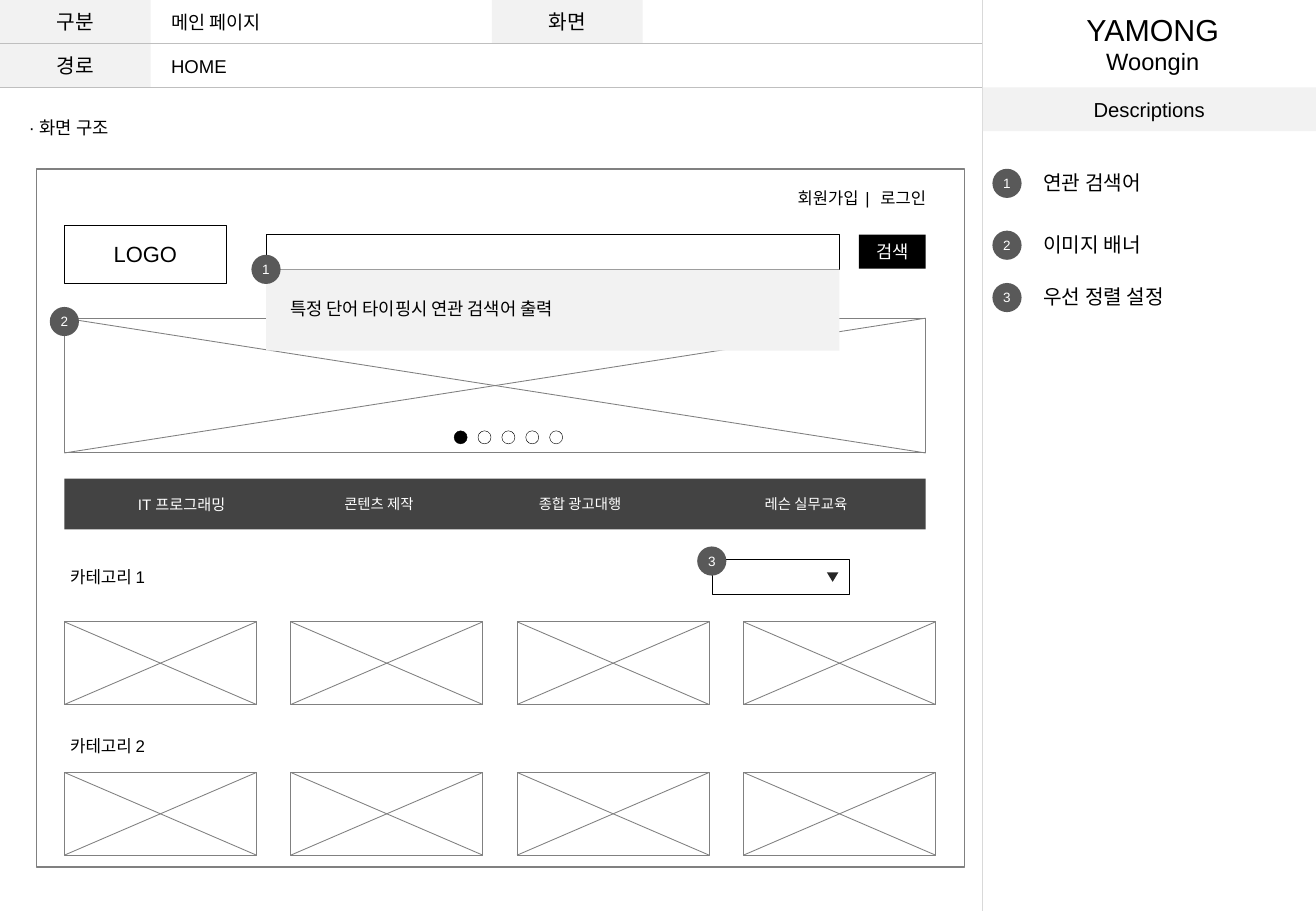
import pptx
import pptx.dml.color
import pptx.enum.shapes
import pptx.enum.text
import pptx.oxml.ns
import pptx.util
from lxml import etree

Pt = pptx.util.Pt
SHAPE = pptx.enum.shapes.MSO_SHAPE
ALIGN = pptx.enum.text.PP_ALIGN
ANCHOR = pptx.enum.text.MSO_ANCHOR

COLORS = {
    "black": "000000", "white": "FFFFFF", "pale": "F2F2F2", "divider": "D9D9D9",
    "rule": "BFBFBF", "wire": "808080", "badge": "595959", "navigation": "434343",
    "arrow": "262626",
}
BADGE_SIZE = 17.3


def color(name):
    """Return the palette colour with this name."""
    return pptx.dml.color.RGBColor.from_string(COLORS[name])


def write(shape, lines, align=ALIGN.CENTER, ink="black", anchor=ANCHOR.MIDDLE, inset=7.2):
    """Fill a shape with paragraphs given as (text, size) pairs."""
    frame = shape.text_frame
    frame.word_wrap = True
    frame.vertical_anchor = anchor
    frame.margin_left = frame.margin_right = Pt(inset)
    for index, (text, size) in enumerate(lines):
        paragraph = frame.add_paragraph() if index else frame.paragraphs[0]
        paragraph.alignment = align
        run = paragraph.add_run()
        run.text = text
        run.font.name = "Arial"
        run.font.size = Pt(size)
        run.font.color.rgb = color(ink)


def add_block(shapes, box, fill=None, line=None, width=0.25, kind=SHAPE.RECTANGLE):
    """Add a preset shape with optional fill and outline."""
    shape = shapes.add_shape(kind, *map(Pt, box))
    shape.shadow.inherit = False
    if fill:
        shape.fill.solid()
        shape.fill.fore_color.rgb = color(fill)
    else:
        shape.fill.background()
    if line:
        shape.line.color.rgb = color(line)
        shape.line.width = Pt(width)
    else:
        shape.line.fill.background()
    return shape


def add_text(shapes, box, text, size, align=ALIGN.LEFT, ink="black", anchor=ANCHOR.TOP):
    """Add a one-line text box."""
    write(shapes.add_textbox(*map(Pt, box)), [(text, size)], align, ink, anchor)


def add_line(shapes, start, end, ink, width):
    """Add a straight line without a shadow."""
    line = shapes.add_connector(
        pptx.enum.shapes.MSO_CONNECTOR.STRAIGHT, *map(Pt, start + end))
    line.line.color.rgb = color(ink)
    line.line.width = Pt(width)
    etree.SubElement(line._element.spPr, pptx.oxml.ns.qn("a:effectLst"))


def add_badge(shapes, x, y, number):
    """Add a numbered circle centred on a point."""
    box = (x - BADGE_SIZE / 2, y - BADGE_SIZE / 2, BADGE_SIZE, BADGE_SIZE)
    badge = add_block(shapes, box, "badge", kind=SHAPE.OVAL)
    write(badge, [(str(number), 8)], ink="white", inset=0)


def add_image_frame(shapes, box):
    """Add a crossed rectangle standing for an image."""
    left, top, width, height = box
    right, bottom = left + width, top + height
    add_block(shapes, box, line="wire", width=0.5)
    add_line(shapes, (left, bottom), (right, top), "wire", 0.5)
    add_line(shapes, (right, bottom), (left, top), "wire", 0.5)


def build_header(shapes, box):
    """Build the page details at the top left."""
    left, top, width, height = box
    row = height / 2
    for x, y, label in ((0, 0, "구분"), (291.6, 0, "화면"), (0, row, "경로")):
        cell = add_block(shapes, (left + x, top + y, 89.3, row), "pale")
        write(cell, [(label, 12)])
    for index, value in enumerate(("메인 페이지", "HOME")):
        y = top + index * row
        add_text(shapes, (left + 94.3, y + 2.9, 120, 20.9), value, 11)
        add_line(shapes, (left, y + row), (left + width, y + row), "rule", 0.75)


def build_descriptions(shapes, box):
    """Build the title and numbered notes on the right."""
    left, top, width, height = box
    add_line(shapes, (left, top), (left, top + height), "divider", 0.75)
    title = shapes.add_textbox(Pt(left + 2), Pt(top + 2.9), Pt(width), Pt(46))
    write(title, [("YAMONG", 18), ("Woongin", 14)], anchor=ANCHOR.TOP)
    heading = add_block(shapes, (left, top + 51.8, width, 26), "pale")
    write(heading, [("Descriptions", 12)])
    notes = ((108.7, "연관 검색어"), (145.4, "이미지 배너"), (176.4, "우선 정렬 설정"))
    for number, (y, note) in enumerate(notes, 1):
        add_badge(shapes, left + 14.4, top + y, number)
        add_text(shapes, (left + 28.8, top + y - 11.5, 140, 21.6), note, 12,
                 anchor=ANCHOR.MIDDLE)


def build_banner(shapes, box):
    """Build the image banner with its page dots."""
    left, top, width, height = box
    add_image_frame(shapes.add_group_shape().shapes, box)
    dots = shapes.add_group_shape().shapes
    for index in range(5):
        dot = (left + 231 + index * 14.15, top + 66.8, 7.7, 7.7)
        add_block(dots, dot, None if index else "black", "black", kind=SHAPE.OVAL)
    add_badge(shapes, left, top + 2, 2)


def build_search(shapes, box):
    """Build the logo, account links, search field and suggestions."""
    left, top, width, height = box
    logo = add_block(shapes, (left, top + 27.4, 95.8, 34.6), "white", "black")
    write(logo, [("LOGO", 13)])
    links = add_block(shapes, (left + width - 90.6, top, 98, 22.3))
    write(links, [("회원가입", 9.8), ], ALIGN.RIGHT)
    paragraph = links.text_frame.paragraphs[0]
    for text, spacing in ((" | ", 180), ("로그인", 0)):
        run = paragraph.add_run()
        run.text = text
        run.font.name = "Arial"
        run.font.size = Pt(9.8)
        run.font.color.rgb = color("black")
        run.font._element.set("spc", str(spacing))
    field_left, field_top = left + 119.5, top + 33.2
    add_block(shapes, (field_left, field_top, 339.8, 20.6), "white", "black")
    button = add_block(shapes, (left + width - 39.6, field_top, 39.6, 20.2), "black")
    write(button, [("검색", 10.5)], ink="white")
    panel_top = field_top + 20.6
    add_block(shapes, (field_left, panel_top, 339.8, 48.2), "pale")
    add_text(shapes, (field_left + 7.2, panel_top + 13, 220, 20.2),
             "특정 단어 타이핑시 연관 검색어 출력", 10.5)
    add_badge(shapes, field_left, panel_top, 1)


def build_navigation(shapes, box):
    """Build the dark menu bar."""
    left, top, width, height = box
    group = shapes.add_group_shape().shapes
    add_block(group, box, "navigation")
    items = ((69.4, "IT 프로그래밍", 9), (186.4, "콘텐츠 제작", 8.5),
             (305.6, "종합 광고대행", 8.5), (439.5, "레슨 실무교육", 8.5))
    for center, label, size in items:
        add_text(group, (left + center - 45, top + 6.5, 90, 17.3), label, size,
                 ALIGN.CENTER, "white")


def build_category(shapes, box, title, title_gap):
    """Build a category title above its row of four images."""
    left, top, width, height = box
    add_text(shapes, (left - 17.3, top - title_gap, 85.7, 19.4), title, 10, ALIGN.CENTER)
    image_width = 113.8
    pitch = (width - image_width) / 3
    group = shapes.add_group_shape().shapes
    for index in range(4):
        add_image_frame(group, (left + index * pitch, top, image_width, height))


def build_sort_menu(shapes, box):
    """Build the sort drop-down."""
    left, top, width, height = box
    add_block(shapes, box, "white", "black")
    arrow = add_block(shapes, (left + width - 13.2, top + 8.1, 6.8, 5.6), "arrow",
                      kind=SHAPE.ISOSCELES_TRIANGLE)
    arrow.rotation = 180
    add_badge(shapes, left, top + 1.4, 3)


def build_wireframe(shapes, box):
    """Build the page layout inside its frame."""
    left, top, width, height = box
    add_text(shapes, (left - 11.5, top - 34.6, 120, 20.9), "· 화면 구조", 10.5)
    add_block(shapes, box, line="wire", width=1)
    inner = left + 16.6
    build_banner(shapes, (inner, top + 88.5, 510.5, 79.9))
    build_search(shapes, (inner, top + 5.8, 510.5, 62))
    build_navigation(shapes, (inner, top + 183.6, 510.5, 30.2))
    build_category(shapes, (inner, top + 268.5, 516.3, 49), "카테고리 1", 36)
    build_category(shapes, (inner, top + 357.8, 516.3, 49), "카테고리 2", 25.2)
    build_sort_menu(shapes, (left + 400.3, top + 231.1, 81.4, 20.9))


def main():
    """Build and save the slide."""
    presentation = pptx.Presentation()
    presentation.slide_width, presentation.slide_height = Pt(780), Pt(540)
    slide = presentation.slides.add_slide(presentation.slide_layouts[6])
    build_header(slide.shapes, (0, 0, 582.5, 51.8))
    build_descriptions(slide.shapes, (582.5, 0, 197.5, 540))
    build_wireframe(slide.shapes, (21.6, 100.1, 550, 414))
    presentation.save("out.pptx")


if __name__ == "__main__":
    main()
